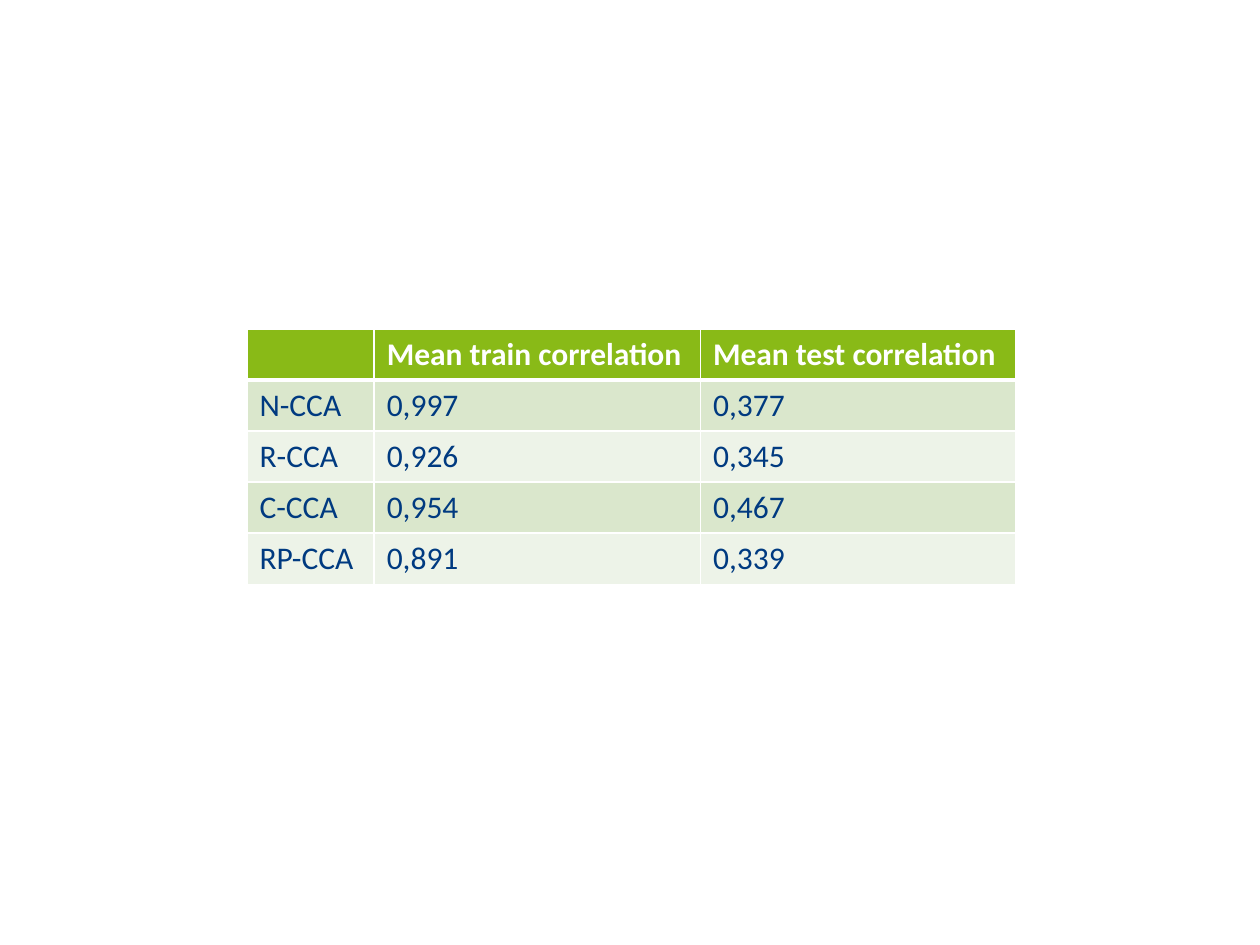
from dataclasses import dataclass

from lxml.etree import SubElement as Sub
from pptx import Presentation
from pptx.dml.color import RGBColor as Rgb
from pptx.oxml.ns import qn
from pptx.util import Pt


@dataclass(frozen=True)
class Theme:
    """Hold the colours, font and sizes of the slide."""
    font: str = "Calibri"
    size: int = 18
    head: str = "89BA17"
    bands: tuple = ("DAE7CC", "EDF3E8")
    ink: str = "003A80"
    white: str = "FFFFFF"
    thin: int = 1
    thick: int = 3


THEME = Theme()
ROWS = (
    ("", "Mean train correlation", "Mean test correlation"),
    ("N-CCA", "0,997", "0,377"),
    ("R-CCA", "0,926", "0,345"),
    ("C-CCA", "0,954", "0,467"),
    ("RP-CCA", "0,891", "0,339"),
)
BOX = (141.1, 187.9, 439.2, 145.5)
SHARES = (1.01, 2.59, 2.5)


def set_edge(cell, side, width):
    """Draw one white border of a cell."""
    line = Sub(cell._tc.get_or_add_tcPr(), qn(f"a:ln{side}"), w=str(Pt(width)))
    fill = Sub(line, qn("a:solidFill"))
    Sub(fill, qn("a:srgbClr"), val=THEME.white)


def style_cell(cell, text, row):
    """Fill, border and letter one cell by its row."""
    head = row == 0
    widths = {
        "L": THEME.thin,
        "R": THEME.thin,
        "T": THEME.thick if row == 1 else THEME.thin,
        "B": THEME.thick if head else THEME.thin,
    }
    for side, width in widths.items():
        set_edge(cell, side, width)
    cell.fill.solid()
    tint = THEME.head if head else THEME.bands[(row - 1) % 2]
    cell.fill.fore_color.rgb = Rgb.from_string(tint)
    cell.text_frame.text = text
    font = cell.text_frame.paragraphs[0].font
    font.size = Pt(THEME.size)
    for run in cell.text_frame.paragraphs[0].runs:
        run.font.name = THEME.font
        run.font.size = Pt(THEME.size)
        run.font.bold = head
        run.font.color.rgb = Rgb.from_string(THEME.white if head else THEME.ink)


def add_scores(slide, box):
    """Place the correlation table in the given box."""
    left, top, width, height = map(Pt, box)
    frame = slide.shapes.add_table(len(ROWS), len(SHARES), left, top, width, height)
    table = frame.table
    for col, share in zip(table.columns, SHARES):
        col.width = Pt(box[2] * share / sum(SHARES))
    for row, texts in enumerate(ROWS):
        for col, text in enumerate(texts):
            style_cell(table.cell(row, col), text, row)


def main():
    """Build and save the slide."""
    deck = Presentation()
    deck.slide_width, deck.slide_height = Pt(720), Pt(540)
    slide = deck.slides.add_slide(deck.slide_layouts[6])
    add_scores(slide, BOX)
    deck.save("out.pptx")


if __name__ == "__main__":
    main()
